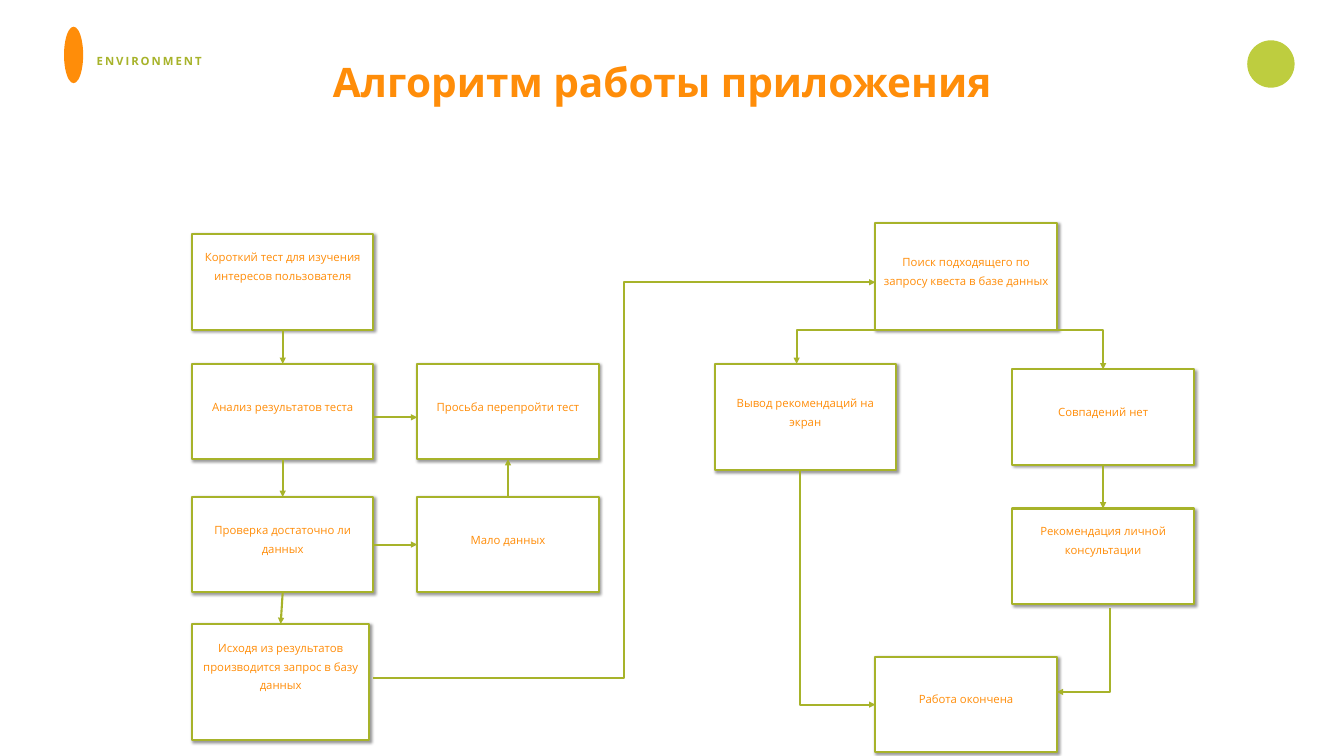
import pptx
import pptx.dml.color
import pptx.enum.shapes
import pptx.enum.text
import pptx.oxml
import pptx.oxml.ns
import pptx.util
from lxml import etree

Inches = pptx.util.Inches
SHAPE = pptx.enum.shapes.MSO_SHAPE
CONNECTOR = pptx.enum.shapes.MSO_CONNECTOR
ALIGN = pptx.enum.text.PP_ALIGN
qn = pptx.oxml.ns.qn

GREEN, LIME, ORANGE, WHITE = "A7B32A", "BECD3F", "FF8D09", "FFFFFF"
FONT = "Open Sans"
TOP, LEFT, BOTTOM, RIGHT = range(4)
BOX_W, LOW, HIGH = 3.6, 1.89, 2.11
LINE_HEIGHT = 0.42
COLUMNS = [3.81, 8.28, 14.18, 17.37, 20.09]

# name: (text, column, top, width, height, lines of space kept below the text)
STEPS = {
    "test": ("Короткий тест для изучения интересов пользователя", 0, 4.65, BOX_W, LOW, 1),
    "search": ("Поиск подходящего по запросу квеста в базе данных", 3, 4.43, BOX_W, HIGH, 0),
    "query": ("Исходя из результатов производится запрос в базу данных", 0, 12.38, 3.52, 2.31, 1),
    "output": ("Вывод рекомендаций на экран", 2, 7.22, BOX_W, HIGH, 0),
    "consult": ("Рекомендация личной консультации", 4, 10.09, BOX_W, LOW, 1),
    "check": ("Проверка достаточно ли данных", 0, 9.86, BOX_W, LOW, 0),
    "analysis": ("Анализ результатов теста", 0, 7.22, BOX_W, LOW, 0),
    "few": ("Мало данных", 1, 9.86, BOX_W, LOW, 0),
    "no_match": ("Совпадений нет", 4, 7.33, BOX_W, LOW, 0),
    "retry": ("Просьба перепройти тест", 1, 7.22, BOX_W, LOW, 0),
    "done": ("Работа окончена", 3, 13.03, BOX_W, LOW, 0),
}
JOINED = [
    ("test", BOTTOM, "analysis", TOP),
    ("analysis", BOTTOM, "check", TOP),
    ("check", BOTTOM, "query", TOP),
    ("check", RIGHT, "few", LEFT),
    ("few", TOP, "retry", BOTTOM),
    ("no_match", BOTTOM, "consult", TOP),
]
# start, end, position of the bend as a share of the width
ELBOWS = [
    ((7.4, 13.45), (17.37, 5.6), 0.5),
    ((19.17, 6.54), (15.81, 7.22), 1),
    ((19.17, 6.54), (21.89, 7.33), 1),
    ((22.02, 12.07), (20.97, 13.73), 0),
    ((15.88, 9.33), (17.37, 13.98), 0),
]


def color(value):
    return pptx.dml.color.RGBColor.from_string(value)


def write(shape, text, size, value, bold=False, align=ALIGN.CENTER, spacing=0.8):
    """Put one raised (superscript) paragraph, centred vertically, into the shape."""
    frame = shape.text_frame
    frame.vertical_anchor = pptx.enum.text.MSO_ANCHOR.MIDDLE
    para = frame.paragraphs[0]
    para.alignment = align
    para.line_spacing = spacing
    span = para.add_run()
    span.text = text
    font = span.font
    font.name, font.size, font.bold = FONT, pptx.util.Pt(size), bold
    font.color.rgb = color(value)
    span._r.get_or_add_rPr().set("baseline", "31999")
    return span


def add_text(page, box, text, size, value, wrap, **style):
    shape = page.shapes.add_textbox(*map(Inches, box))
    frame = shape.text_frame
    frame.word_wrap = wrap
    frame.margin_left = frame.margin_right = Inches(0.06)
    frame.margin_top = frame.margin_bottom = Inches(0.06)
    return write(shape, text, size, value, bold=True, **style)


def add_solid(page, kind, box, fill):
    shape = page.shapes.add_shape(kind, *map(Inches, box))
    shape.shadow.inherit = False
    shape.fill.solid()
    shape.fill.fore_color.rgb = color(fill)
    shape.line.fill.background()
    return shape


def add_header(page, box):
    left, top, width, _ = box
    add_solid(page, SHAPE.OVAL, (left + width - 0.94, top + 0.27, 0.94, 0.94), LIME)
    add_solid(page, SHAPE.OVAL, (left, top, 0.38, 1.12), ORANGE)
    label = add_text(page, (left + 0.59, top + 0.41, 3.48, 0.64), "ENVIRONMENT", 28, GREEN,
                     wrap=False, align=ALIGN.LEFT, spacing=1)
    label._r.get_or_add_rPr().set("spc", "280")
    add_text(page, (left + 5.21, top + 0.04, 13.32, 2.8), "Алгоритм работы приложения",
             100, ORANGE, wrap=True)


def add_shadow(shape):
    effects = shape._element.spPr.find(qn("a:effectLst"))
    shadow = etree.SubElement(effects, qn("a:outerShdw"), blurRad="50800", dist="38100",
                              dir="2700000", algn="tl", rotWithShape="0")
    black = etree.SubElement(shadow, qn("a:srgbClr"), val="000000")
    etree.SubElement(black, qn("a:alpha"), val="40000")


def add_step(page, box, text, lines_below):
    shape = add_solid(page, SHAPE.RECTANGLE, box, WHITE)
    add_shadow(shape)
    shape.line.color.rgb = color(GREEN)
    shape.line.width = pptx.util.Pt(3)
    shape.text_frame.word_wrap = True
    shape.text_frame.margin_bottom = Inches(0.05 + LINE_HEIGHT * lines_below)
    write(shape, text, 28, ORANGE)
    return shape


def add_arrow(page, kind, start=(0, 0), end=(0, 0)):
    arrow = page.shapes.add_connector(kind, *map(Inches, start + end))
    arrow.line.color.rgb = color(GREEN)
    arrow.line.width = pptx.util.Pt(3)
    etree.SubElement(arrow.line._get_or_add_ln(), qn("a:tailEnd"), type="triangle")
    etree.SubElement(arrow._element.spPr, qn("a:effectLst"))
    return arrow


def add_elbow(page, start, end, bend):
    arrow = add_arrow(page, CONNECTOR.ELBOW, start, end)
    geometry = arrow._element.spPr.find(qn("a:prstGeom"))
    guides = geometry.find(qn("a:avLst"))
    if guides is None:
        guides = etree.SubElement(geometry, qn("a:avLst"))
    etree.SubElement(guides, qn("a:gd"), name="adj1", fmla=f"val {round(bend * 100000)}")


def add_flowchart(page, left, top):
    """Place the steps and arrows; left and top shift the whole chart."""
    steps = {}
    for name, (text, column, y, width, height, lines_below) in STEPS.items():
        box = (left + COLUMNS[column], top + y, width, height)
        steps[name] = add_step(page, box, text, lines_below)
    for source, source_side, target, target_side in JOINED:
        arrow = add_arrow(page, CONNECTOR.STRAIGHT)
        arrow.begin_connect(steps[source], source_side)
        arrow.end_connect(steps[target], target_side)
    add_arrow(page, CONNECTOR.STRAIGHT, (left + 7.4, top + 8.28), (left + 8.28, top + 8.28))
    for start, end, bend in ELBOWS:
        add_elbow(page, (left + start[0], top + start[1]), (left + end[0], top + end[1]), bend)


def main():
    deck = pptx.Presentation()
    deck.slide_width, deck.slide_height = Inches(26.67), Inches(15)
    page = deck.slides.add_slide(deck.slide_layouts[6])
    add_header(page, (1.27, 0.53, 24.42, 2.84))
    add_flowchart(page, 0, 0)
    deck.save("out.pptx")


if __name__ == "__main__":
    main()
